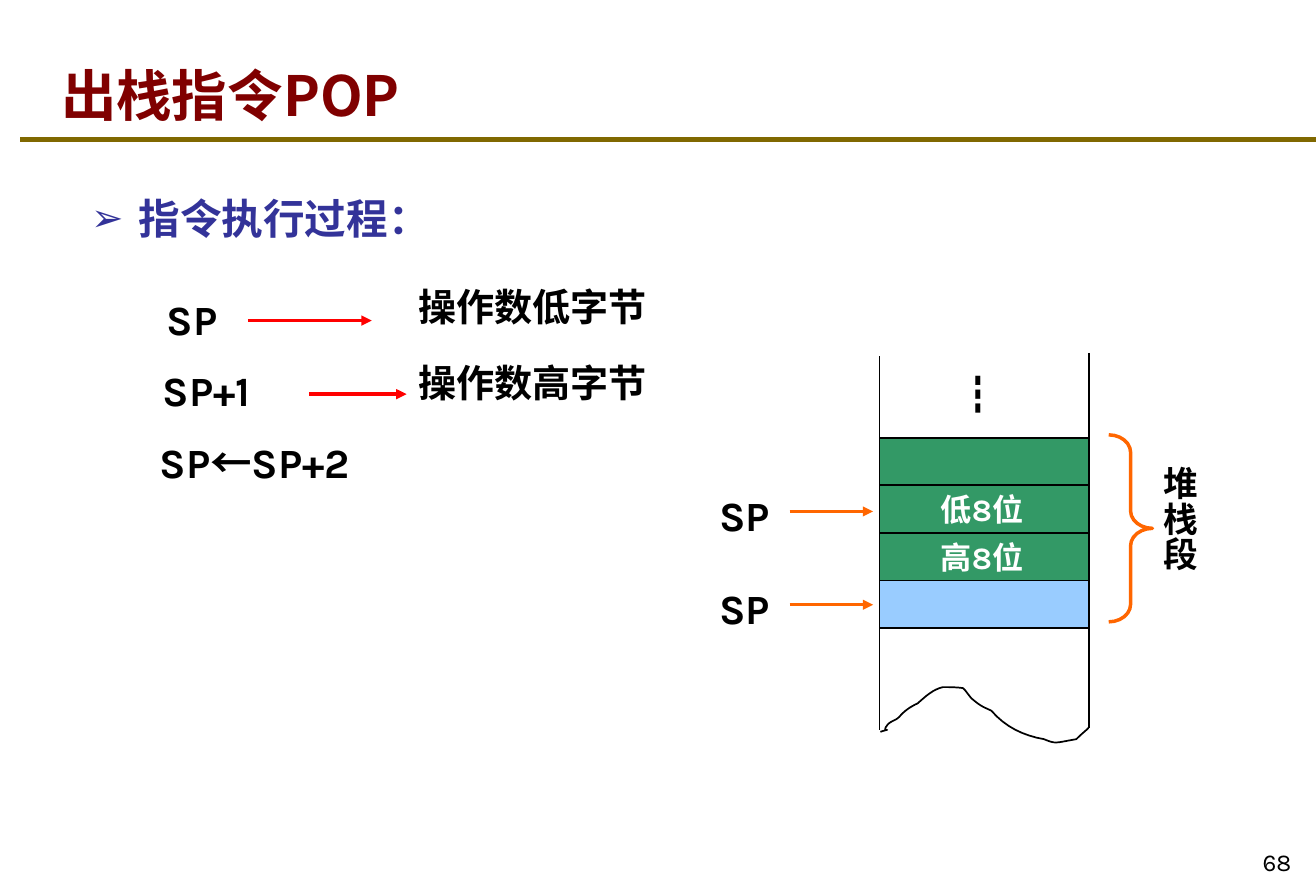
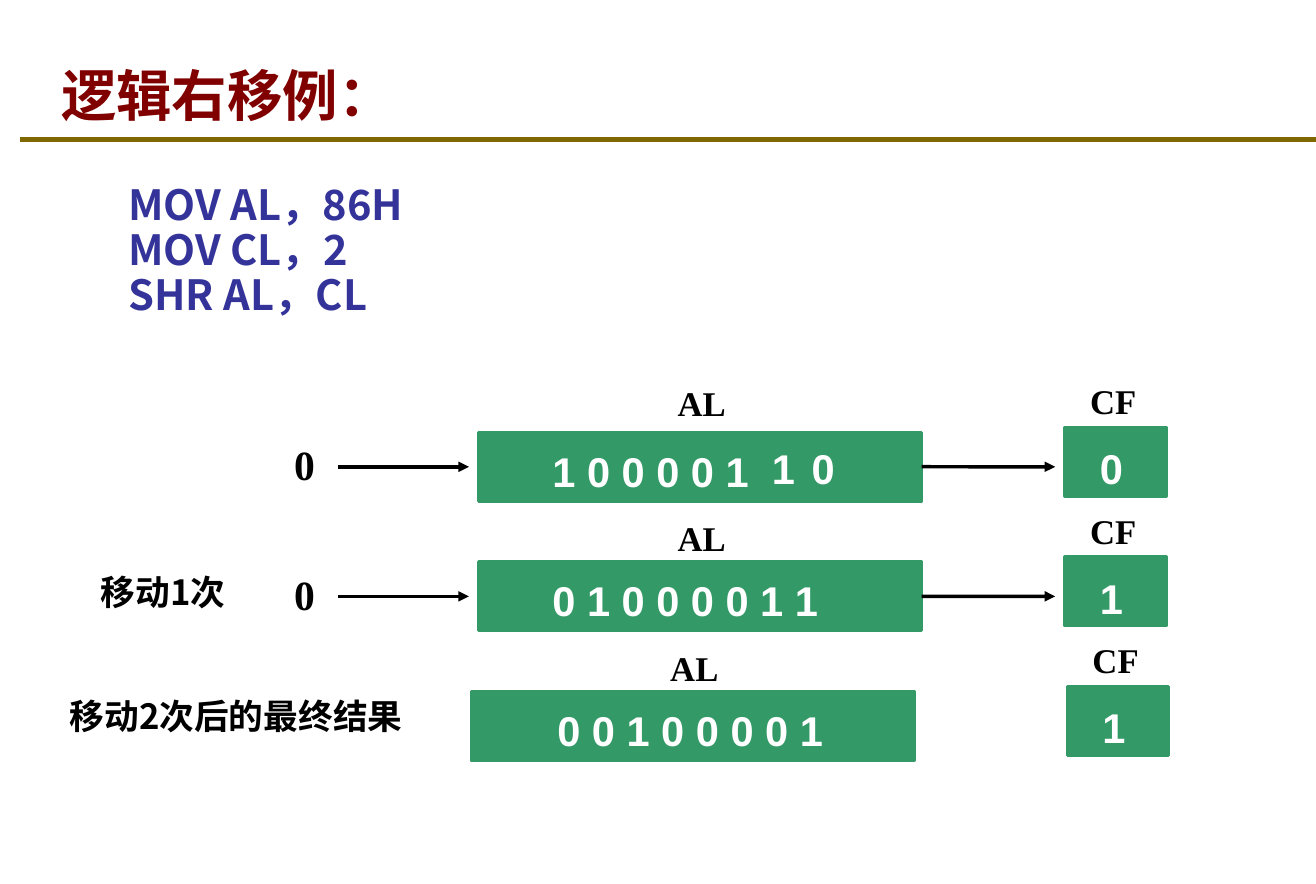
from lxml.etree import SubElement
from pptx import Presentation
from pptx.dml.color import RGBColor
from pptx.enum.shapes import MSO_CONNECTOR, MSO_SHAPE as Shape
from pptx.enum.text import MSO_ANCHOR as Anchor, MSO_AUTO_SIZE as AutoSize, PP_ALIGN as Align
from pptx.oxml.ns import qn
from pptx.util import Cm, Pt

COLOURS = {
    "title": "800000", "rule": "806800", "body": "333399", "text": "000000",
    "white": "FFFFFF", "green": "339966", "sky": "99CCFF",
    "red": "FF0000", "orange": "FF6600",
}
CJK, KARLA, TIMES, ARIAL = "Noto Sans CJK SC", "Karla", "Times New Roman", "Arial"
CJK_SPACING = 0.85  # the CJK font has tall lines


def rgb(name):
    return RGBColor.from_string(COLOURS[name])


# --- Text ---
def add_run(para, text, size, font=CJK, colour="text", bold=True):
    run = para.add_run()
    run.text = text
    run.font.size, run.font.bold, run.font.name = Pt(size), bold, font
    run.font.color.rgb = rgb(colour)
    SubElement(run.font._element, qn("a:ea"), typeface=CJK)


def add_text(slide, left, top, width, height, text, size, font=CJK,
             colour="text", align=Align.LEFT, bold=True):
    box = slide.shapes.add_textbox(Cm(left), Cm(top), Cm(width), Cm(height))
    frame = box.text_frame
    frame.word_wrap = True
    frame.auto_size = AutoSize.SHAPE_TO_FIT_TEXT
    para = frame.paragraphs[0]
    para.alignment = align
    if not text.isascii():
        para.line_spacing = CJK_SPACING
    add_run(para, text, size, font, colour, bold)
    return box


# --- Shapes and lines ---
def add_cell(slide, left, top, width, height, fill="green", outline="text", weight=1):
    cell = slide.shapes.add_shape(Shape.RECTANGLE, Cm(left), Cm(top), Cm(width), Cm(height))
    cell.shadow.inherit = False
    cell.fill.solid()
    cell.fill.fore_color.rgb = rgb(fill)
    cell.line.color.rgb = rgb(outline)
    cell.line.width = Pt(weight)
    return cell


def fill_cell(cell, text, size, font, indent, drop=0):
    """Write white text in a cell, indented from the left and lowered a little."""
    frame = cell.text_frame
    frame.word_wrap = False
    frame.vertical_anchor = Anchor.MIDDLE
    frame.margin_left, frame.margin_right = Cm(indent), 0
    frame.margin_top, frame.margin_bottom = Cm(drop), 0
    frame.paragraphs[0].alignment = Align.LEFT
    add_run(frame.paragraphs[0], text, size, font, "white")


def add_line(slide, start, end, colour="text", weight=1, arrow=False):
    points = [Cm(value) for value in (*start, *end)]
    line = slide.shapes.add_connector(MSO_CONNECTOR.STRAIGHT, *points)
    line.line.color.rgb = rgb(colour)
    line.line.width = Pt(weight)
    properties = line.element.spPr
    if arrow:
        SubElement(properties.find(qn("a:ln")), qn("a:tailEnd"), type="triangle")
    SubElement(properties, qn("a:effectLst"))
    return line


def add_curve(slide, start, segments, steps=8):
    """Draw a chain of cubic curves, each given by two controls and an end."""
    points, origin = [], start
    for first, second, end in segments:
        for step in range(1, steps + 1):
            t = step / steps
            weights = ((1 - t) ** 3, 3 * t * (1 - t) ** 2, 3 * t * t * (1 - t), t ** 3)
            corners = (origin, first, second, end)
            points.append(tuple(1000 * sum(w * corner[axis] for w, corner in zip(weights, corners))
                                for axis in (0, 1)))
        origin = end
    builder = slide.shapes.build_freeform(1000 * start[0], 1000 * start[1], scale=Cm(1) / 1000)
    builder.add_line_segments(points, close=False)
    curve = builder.convert_to_shape()
    curve.shadow.inherit = False
    curve.fill.background()
    curve.line.color.rgb = rgb("text")
    curve.line.width = Pt(1)


# --- Shared slide frame ---
def place(shape, left, top, width, height):
    shape.left, shape.top, shape.width, shape.height = map(Cm, (left, top, width, height))


def prepare_layout(layout):
    title = layout.placeholders[0]
    place(title, 0.99, 0.71, 22.83, 2.01)
    title.text_frame.vertical_anchor = Anchor.BOTTOM
    title.text_frame.auto_size = AutoSize.NONE


def start_slide(deck, title, lines, body_place, line_spacing, bullet=None):
    layout = deck.slide_layouts[1]
    slide = deck.slides.add_slide(layout)
    if len(deck.slides) == 1:  # the rule goes on the layout, once
        rule = add_line(slide, (0.41, 2.84), (26.8, 2.84), "rule", 3)
        layout.shapes.element.append(rule.element)

    heading = slide.shapes.title.text_frame.paragraphs[0]
    heading.alignment = Align.LEFT
    add_run(heading, title, 32, colour="title")

    body = slide.placeholders[1]
    place(body, *body_place)
    frame = body.text_frame
    frame.auto_size = AutoSize.NONE
    for number, line in enumerate(lines):
        para = frame.paragraphs[0] if number == 0 else frame.add_paragraph()
        properties = para._p.get_or_add_pPr()
        indent = Cm(0.97) if bullet else 0
        properties.set("marL", str(indent))
        properties.set("indent", str(-indent))
        if bullet:
            SubElement(properties, qn("a:buSzPct"), val="93000")
            SubElement(properties, qn("a:buChar"), char=bullet)
        else:
            SubElement(properties, qn("a:buNone"))
        para.alignment = Align.LEFT
        para.space_before = Pt(0)
        para.line_spacing = line_spacing
        add_run(para, line, 24, colour="body")
    return slide


# --- Slide: POP ---
def build_pop(deck):
    slide = start_slide(deck, "出栈指令POP", ["指令执行过程："],
                        (1.6, 3.61, 15.6, 2.03), 1.2, "➢")
    add_text(slide, 24.92, 16.79, 1.63, 1.19, "68", 14, KARLA, align=Align.RIGHT, bold=False
             ).text_frame.vertical_anchor = Anchor.BOTTOM

    # Steps of the instruction
    add_text(slide, 3.15, 5.87, 1.91, 1.27, "SP", 24, KARLA)
    add_text(slide, 3.07, 7.32, 3.3, 1.27, "SP+1", 24, KARLA)
    update = add_text(slide, 3, 8.94, 7.39, 1.27, "SP", 24, KARLA).text_frame.paragraphs[0]
    update.line_spacing = CJK_SPACING
    add_run(update, "←", 24)
    add_run(update, "SP+2", 24, KARLA)
    add_line(slide, (5.05, 6.53), (7.57, 6.53), "red", 2, arrow=True)
    add_line(slide, (6.3, 8.03), (8.28, 8.03), "red", 2, arrow=True)
    add_text(slide, 8.28, 5.79, 8.23, 1.19, "操作数低字节", 22)
    add_text(slide, 8.28, 7.34, 8.66, 1.19, "操作数高字节", 22)

    # Stack memory
    left, top, width, row = 17.91, 8.92, 4.26, 0.97
    right = left + width
    rows = [("green", ""), ("green", "低8位"), ("green", "高8位"), ("sky", "")]
    for number, (fill, label) in enumerate(rows):
        cell = add_cell(slide, left, top + number * row, width, row, fill)
        if label:
            fill_cell(cell, label, 18, KARLA, 1.25)
    add_line(slide, (left, 7.26), (left, 14.88))
    add_line(slide, (right, 7.19), (right, 14.83))
    add_curve(slide, (17.93, 14.91), [
        ((18.24, 14.81), (17.91, 14.96), (18.08, 14.76)),
        ((18.16, 14.68), (18.24, 14.68), (18.31, 14.61)),
        ((18.42, 14.48), (18.54, 14.4), (18.69, 14.33)),
        ((18.87, 14.17), (19, 14.05), (19.2, 14)),
        ((19.33, 14), (19.48, 14), (19.61, 14.02)),
        ((19.66, 14.05), (19.76, 14.22), (19.81, 14.25)),
        ((19.99, 14.4), (20.02, 14.4), (20.19, 14.48)),
        ((20.47, 14.81), (20.85, 14.99), (21.26, 15.06)),
        ((21.51, 15.16), (21.46, 15.14), (21.92, 15.06)),
        ((22.03, 14.95), (22.12, 14.88), (right, 14.83)),
    ])
    add_text(slide, 19.25, 7.54, 1.78, 1.27, "┇", 24, bold=False)

    # Stack pointer before and after
    for pointer_top in (9.86, 11.76):
        add_text(slide, 14.4, pointer_top, 2.4, 1.3, "SP", 24, KARLA)
        arrow_y = pointer_top + 0.56
        add_line(slide, (16.08, arrow_y), (17.78, arrow_y), "orange", 1.75, arrow=True)

    # Stack segment brace
    brace = slide.shapes.add_shape(Shape.RIGHT_BRACE, Cm(22.58), Cm(8.86), Cm(0.89), Cm(3.81))
    brace.shadow.inherit = False
    brace.adjustments[0], brace.adjustments[1] = 0.4, 0.5
    brace.fill.background()
    brace.line.color.rgb = rgb("orange")
    brace.line.width = Pt(2)
    add_text(slide, 23.44, 9.42, 1.35, 2.82, "堆栈段", 20)


# --- Slide: SHR ---
def add_register_row(slide, top, left, label_top, bits, indent, carry, carry_left, shifts):
    register = add_cell(slide, left, top, 9.02, 1.4, outline="green", weight=2)
    fill_cell(register, bits, 24, ARIAL, indent, 0.15)
    add_text(slide, left + 3.8, label_top, 2, 1.12, "AL", 20, TIMES)

    flag = add_cell(slide, carry_left, top - 0.1, 2.06, 1.4, outline="green", weight=2)
    fill_cell(flag, carry, 24, ARIAL, 0.71, 0.25)
    add_text(slide, carry_left - 0.02, top - 1.19, 2, 1.12, "CF", 20, TIMES, align=Align.CENTER)

    if shifts:
        middle = top + 0.7
        add_text(slide, 5.74, top + 0.01, 1.57, 1.27, "0", 24, TIMES)
        add_line(slide, (6.88, middle), (9.55, middle), weight=2, arrow=True)
        shift_out = add_line(slide, (left + 9.02, middle), (21.49, middle), weight=2, arrow=True)
        shift_out.begin_connect(register, 3)


def build_shift(deck):
    slide = start_slide(deck, "逻辑右移例：", ["MOV AL，86H", "MOV CL，2", "SHR AL，CL"],
                        (2.36, 3.63, 8.66, 5.2), 0.9)
    rows = [
        (9.75, 7.65, "1 0 0 0 0 1", 1.5, "0", 21.69, True),
        (9.75, 10.41, "0 1 0 0 0 0 1 1", 1.5, "1", 21.69, True),
        (9.6, 13.06, "0 0 1 0 0 0 0 1", 1.75, "1", 21.74, False),
    ]
    for number, row in enumerate(rows):
        add_register_row(slide, 8.81 + number * 2.64, *row)

    # Last two bits of the first row
    for left, bit in ((15.47, "1"), (16.28, "0")):
        add_text(slide, left, 8.89, 1.27, 1.27, bit, 24, ARIAL, "white")

    # Row captions
    add_text(slide, 1.8, 11.63, 3.81, 1.12, "移动1次", 20)
    add_text(slide, 1.17, 14.17, 8.23, 1.12, "移动2次后的最终结果", 20)


def main():
    deck = Presentation()
    deck.slide_width, deck.slide_height = Cm(26.8), Cm(18.01)
    prepare_layout(deck.slide_layouts[1])
    build_pop(deck)
    build_shift(deck)
    deck.save("out.pptx")


if __name__ == "__main__":
    main()
